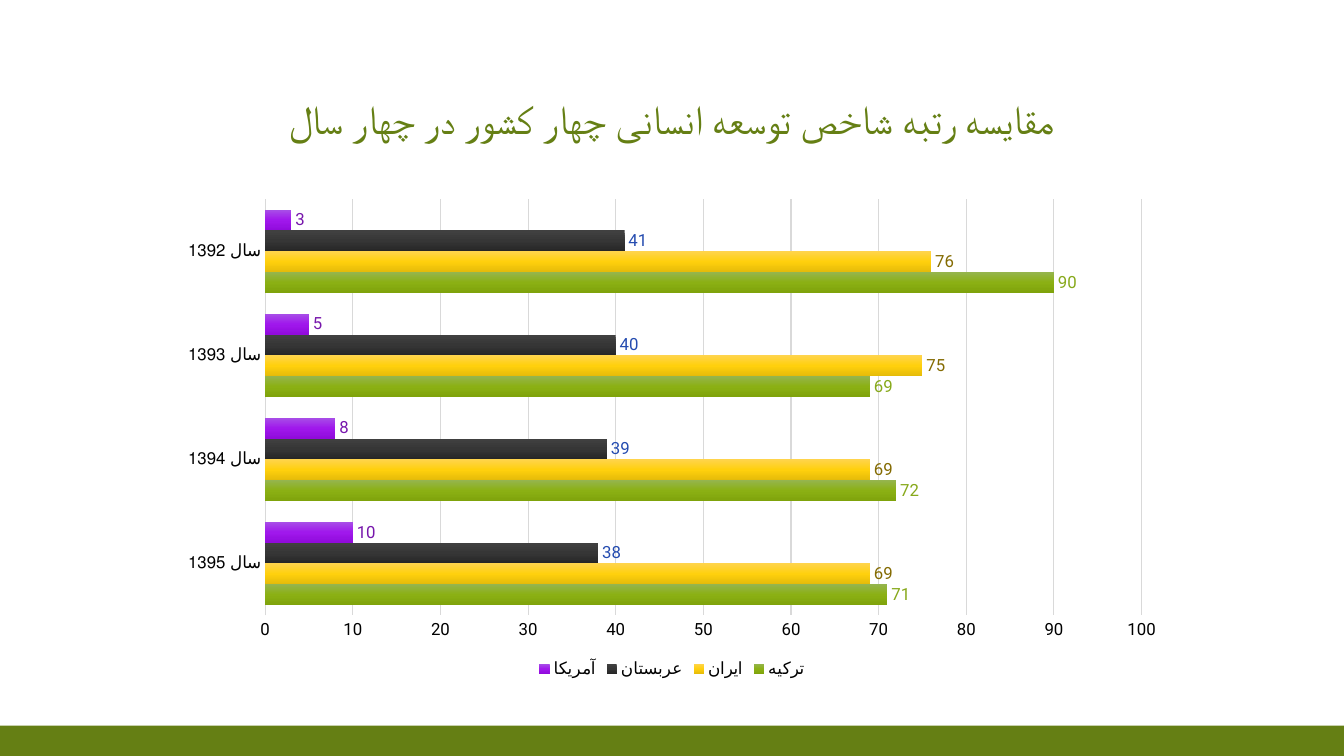
from lxml import etree
from pptx import Presentation
from pptx import util as u
from pptx.chart.data import CategoryChartData
from pptx.dml.color import RGBColor
from pptx.enum import chart as c, shapes, text
from pptx.oxml import parse_xml
from pptx.oxml.ns import nsdecls, qn

OLIVE = RGBColor(0x65, 0x7F, 0x14)
BLACK = RGBColor(0x00, 0x00, 0x00)
GREY = RGBColor(0x59, 0x59, 0x59)
GRID = RGBColor(0xD9, 0xD9, 0xD9)
GREEN_LABEL = RGBColor(0x87, 0xA9, 0x1B)
GOLD_LABEL = RGBColor(0x84, 0x6B, 0x02)
BLUE_LABEL = RGBColor(0x25, 0x4C, 0xB0)
PURPLE_LABEL = RGBColor(0x77, 0x17, 0xAC)
# Bar gradients, top to bottom
GREENS = [RGBColor(0x95, 0xB5, 0x4E), RGBColor(0x8B, 0xB0, 0x14), RGBColor(0x7F, 0xA3, 0x0B)]
GOLDS = [RGBColor(0xFF, 0xD4, 0x4C), RGBColor(0xFF, 0xD0, 0x0D), RGBColor(0xE5, 0xBB, 0x09)]
DARKS = [RGBColor(0x40, 0x40, 0x40), RGBColor(0x36, 0x36, 0x36), RGBColor(0x26, 0x26, 0x26)]
PURPLES = [RGBColor(0xA8, 0x50, 0xE7), RGBColor(0xA0, 0x18, 0xEC), RGBColor(0x91, 0x0B, 0xDC)]

YEARS = ["سال 1395", "سال 1394", "سال 1393", "سال 1392"]
COUNTRIES = [
    ("ترکیه", (71, 72, 69, 90), GREENS, GREEN_LABEL),
    ("ایران", (69, 69, 75, 76), GOLDS, GOLD_LABEL),
    ("عربستان", (38, 39, 40, 41), DARKS, BLUE_LABEL),
    ("آمریکا", (10, 8, 5, 3), PURPLES, PURPLE_LABEL),
]


class Deck:
    """One slide on a grid of 16 columns and 75 rows."""
    FONT = "Roboto"

    def __init__(self):
        self.prs = Presentation()
        self.prs.slide_width, self.prs.slide_height = u.Inches(13.33), u.Inches(7.5)
        self.s = self.prs.slides.add_slide(self.prs.slide_layouts[5])

    def box(self, col, row, cols, rows):
        w, h = self.prs.slide_width / 16, self.prs.slide_height / 75
        return [round(v) for v in (col * w, row * h, cols * w, rows * h)]

    def style(self, font, size, color, name=FONT):
        font.name, font.size = name, u.Pt(size)
        font.color.rgb = color

    def band(self, color, *cells):
        sp = self.s.shapes.add_shape(shapes.MSO_SHAPE.RECTANGLE, *self.box(*cells))
        sp.shadow.inherit = False
        sp.fill.solid()
        sp.fill.fore_color.rgb = color
        sp.line.fill.background()

    def title(self, words, *cells):
        sp = self.s.shapes.title
        sp.left, sp.top, sp.width, sp.height = self.box(*cells)
        tf = sp.text_frame
        tf.text = words
        tf.word_wrap = True
        tf.auto_size = text.MSO_AUTO_SIZE.NONE
        tf.vertical_anchor = text.MSO_ANCHOR.BOTTOM
        p = tf.paragraphs[0]
        p.alignment, p.line_spacing = text.PP_ALIGN.CENTER, 0.9
        self.style(p.font, 28.8, OLIVE)

    def gradient(self, fmt, colors):
        fmt.fill.background()
        stops = "".join(f'<a:gs pos="{i * 50000}"><a:srgbClr val="{rgb}"/></a:gs>'
                        for i, rgb in enumerate(colors))
        grad = parse_xml(f'<a:gradFill {nsdecls("a")} rotWithShape="1"><a:gsLst>{stops}</a:gsLst>'
                         '<a:lin ang="5400000" scaled="0"/></a:gradFill>')
        # fill.background() has left a noFill to swap for the gradient
        sp_pr = fmt._element.find(qn("c:spPr"))
        sp_pr.replace(sp_pr.find(qn("a:noFill")), grad)

    def axis(self, axis):
        axis.major_tick_mark = axis.minor_tick_mark = c.XL_TICK_MARK.NONE
        self.style(axis.tick_labels.font, 12, BLACK)

    def hairline(self, line):
        line.color.rgb, line.width = GRID, u.Pt(0.75)

    def bars(self, categories, rows, *cells):
        data = CategoryChartData()
        data.categories = categories
        for name, values, _, _ in rows:
            data.add_series(name, values)
        chart = self.s.shapes.add_chart(
            c.XL_CHART_TYPE.BAR_CLUSTERED, *self.box(*cells), data).chart
        self.style(chart.font, 10, GREY, "Calibri")
        chart.has_title = False

        # Axes
        cat, val = chart.category_axis, chart.value_axis
        self.axis(cat)
        self.axis(val)
        self.hairline(cat.format.line)
        val.format.line.fill.background()
        self.hairline(val.major_gridlines.format.line)
        val.minimum_scale, val.maximum_scale, val.major_unit = 0, 100, 10

        # Legend
        chart.has_legend = True
        chart.legend.position = c.XL_LEGEND_POSITION.BOTTOM
        chart.legend.include_in_layout = False
        self.style(chart.legend.font, 12, BLACK)

        # Series and their value labels
        plot = chart.plots[0]
        plot.gap_width, plot.overlap, plot.vary_by_categories = 100, 0, False
        for ser, (_, _, colors, label_color) in zip(plot.series, rows):
            self.gradient_series(ser, colors)
            labels = ser.data_labels
            labels.show_value = True
            labels.position = c.XL_LABEL_POSITION.OUTSIDE_END
            self.style(labels.font, 12, label_color)

    def gradient_series(self, ser, colors):
        ser.invert_if_negative = False
        self.gradient(ser.format, colors)


def main():
    d = Deck()
    d.band(OLIVE, 0, 72, 16, 3)
    d.title("مقایسه رتبه شاخص توسعه انسانی چهار کشور در چهار سال", 2, 5, 12, 9.7)
    d.bars(YEARS, COUNTRIES, 2, 18.8, 12, 48.8)
    d.prs.save("out.pptx")


if __name__ == "__main__":
    main()
